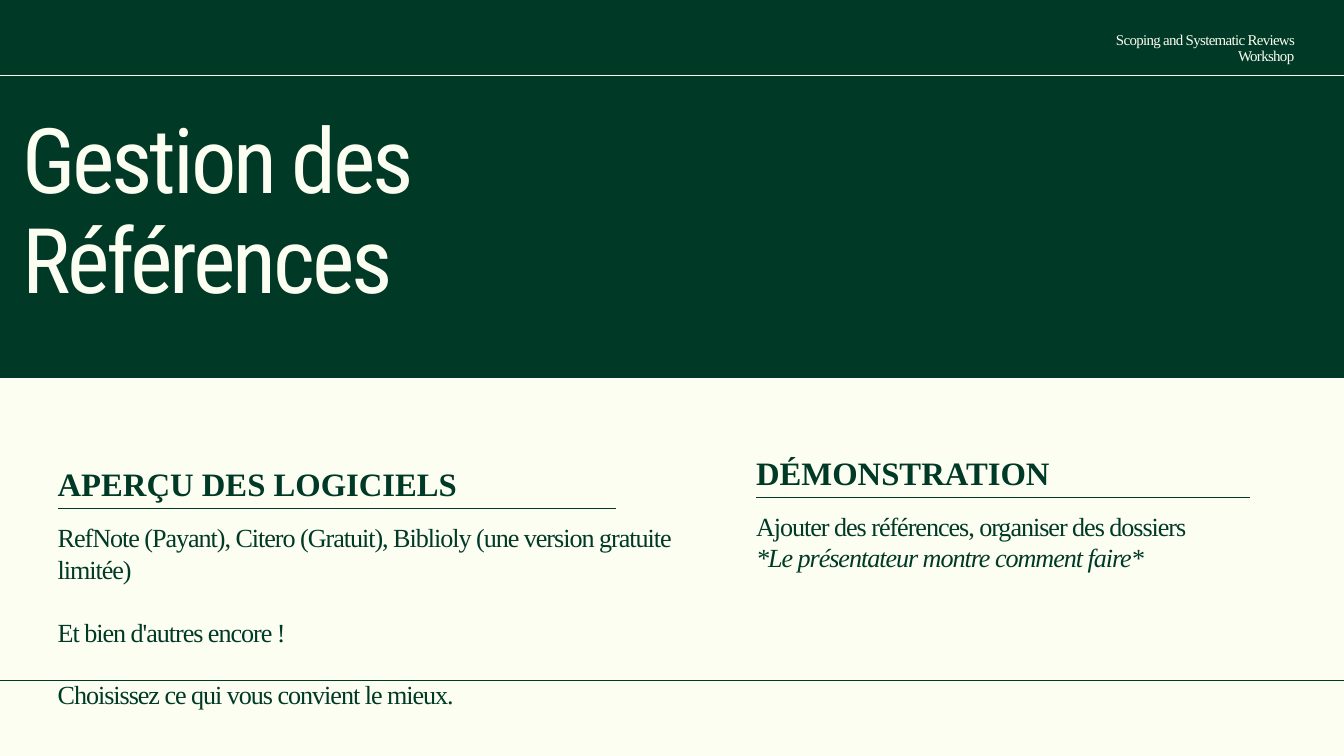
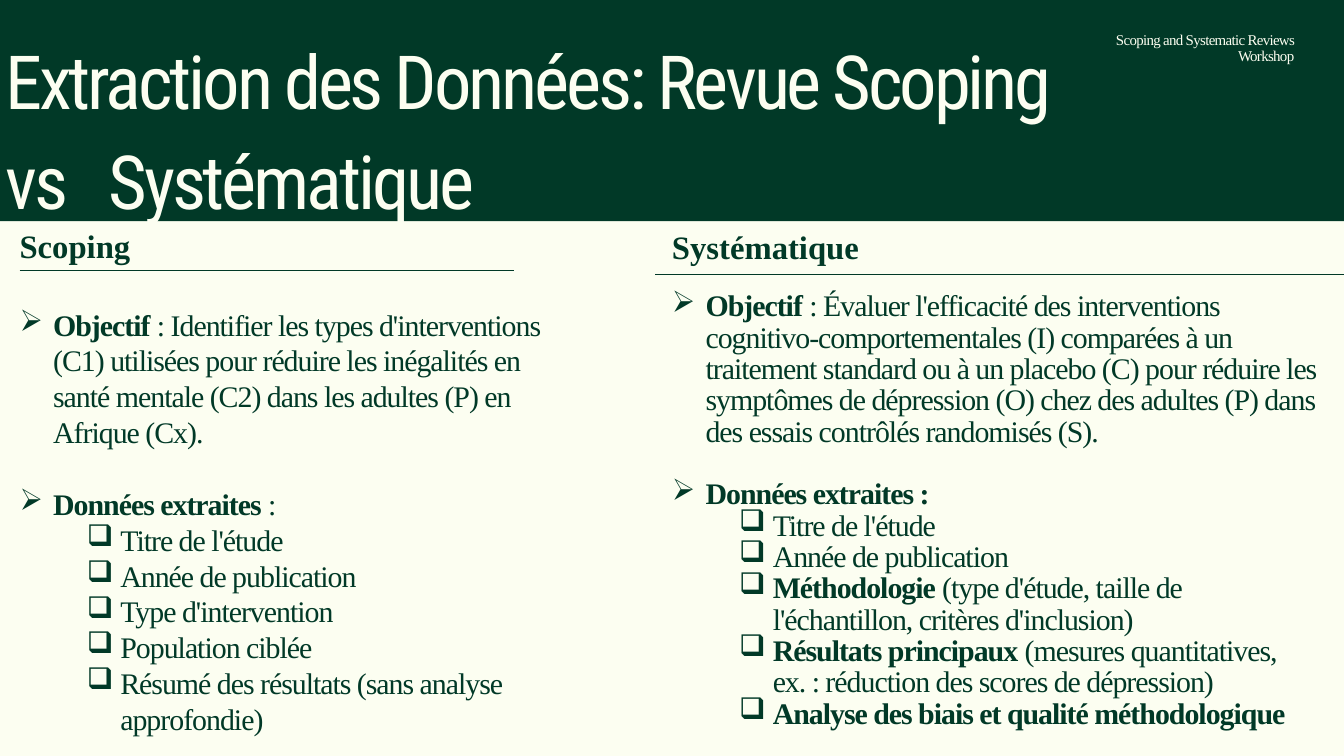
"""Build two workshop slides on reference management and data extraction."""
from lxml.etree import SubElement
from pptx import Presentation
from pptx.dml.color import RGBColor
from pptx.enum.shapes import MSO_CONNECTOR as Link, MSO_SHAPE as Shape
from pptx.enum.text import MSO_ANCHOR as Anchor, MSO_AUTO_SIZE as Auto, PP_ALIGN as Align
from pptx.oxml.ns import qn
from pptx.util import Cm, Pt

GREEN, CREAM = "013927", "FCFEF1"
WIDE, HIGH = 50.8, 28.58
SERIF, SANS = "Times New Roman", "Roboto Condensed"
BULLETS = {1: ("➢", 1.27), 2: ("❑", 3.81)}
HANG = 1.27
FRAME = dict(margin_left=0, margin_top=0, margin_right=0, margin_bottom=0,
             word_wrap=True, vertical_anchor=Anchor.TOP, auto_size=Auto.SHAPE_TO_FIT_TEXT)
NOTE = dict(size=16, lead=16.9, spc=-70, color=CREAM, align=Align.RIGHT)
HEAD = dict(size=35, lead=42, bold=True)
TITLE = dict(lead=106.7, spc=-340, color=CREAM, face=SANS)
HEADER = "Scoping and Systematic Reviews Workshop"


def para(*runs, level=0, gap=False):
    """Describe a paragraph by its (text, changes) runs."""
    return dict(runs=[(r, {}) if isinstance(r, str) else r for r in runs],
                level=level, gap=gap)


def strong(text):
    """Describe a bold run."""
    return text, dict(bold=True)


def item(*runs):
    """Describe a second-level bullet."""
    return para(*runs, level=2)


SLIDES = [
    dict(
        band=14.29, box=(0.84, 4.24, 26.47, 7.59), size=97,
        title=[para("Gestion des Références")],
        rules=[(0, WIDE, 25.72, GREEN), (0, WIDE, 2.86, CREAM)],
        cols=[
            dict(head="APERÇU DES LOGICIELS", at=(2.18, 17.55), wide=23.22,
                 drop=2.18, high=7.19, rule=(2.18, 23.29, 1.68), size=28, lead=33.6,
                 body=[
                     para("RefNote (Payant), Citero (Gratuit), Biblioly (une version "
                          "gratuite limitée)"),
                     para("Et bien d'autres encore !", gap=True),
                     para("Choisissez ce qui vous convient le mieux.", gap=True)]),
            dict(head="DÉMONSTRATION", at=(28.58, 17.12), wide=19.1,
                 drop=2.18, high=2.34, rule=(28.58, 47.24, 1.68), size=28, lead=33.6,
                 body=[
                     para("Ajouter des références, organiser des dossiers"),
                     para(("*Le présentateur montre comment faire*", dict(italic=True)))]),
        ]),
    dict(
        band=8.36, box=(0.2, 0.94, 48.74, 7.62), size=80,
        title=[para("Extraction des Données: Revue Scoping"),
               para("vs", (" ", dict(spc=2500)), "Systématique")],
        rules=[],
        cols=[
            dict(head="Scoping", at=(0.74, 8.53), wide=20.22,
                 drop=3.05, high=16.41, rule=(0.74, 19.41, 1.68), size=32, lead=38.4,
                 body=[
                     para(strong("Objectif "),
                          ": Identifier les types d'interventions (C1) utilisées pour "
                          "réduire les inégalités en santé mentale (C2) dans les adultes "
                          "(P) en Afrique (Cx).", level=1),
                     para(strong("Données extraites "), ":", level=1, gap=True),
                     item("Titre de l'étude"),
                     item("Année de publication"),
                     item("Type d'intervention"),
                     item("Population ciblée"),
                     item("Résumé des résultats (sans analyse approfondie)")]),
            dict(head="Systématique", at=(25.4, 8.59), wide=24.71,
                 drop=2.43, high=16.97, rule=(24.77, WIDE, 1.77), size=32, lead=33.6,
                 body=[
                     para(strong("Objectif "),
                          ": Évaluer l'efficacité des interventions "
                          "cognitivo-comportementales (I) comparées à un traitement "
                          "standard ou à un placebo (C) pour réduire les symptômes de "
                          "dépression (O) chez des adultes (P) dans des essais contrôlés "
                          "randomisés (S).", level=1),
                     para(strong("Données extraites :"), level=1, gap=True),
                     item("Titre de l'étude"),
                     item("Année de publication"),
                     item(strong("Méthodologie"),
                          " (type d'étude, taille de l'échantillon, critères d'inclusion)"),
                     item(strong("Résultats principaux "),
                          "(mesures quantitatives, ex. : réduction des scores de "
                          "dépression)"),
                     item(strong("Analyse des biais et qualité méthodologique"))]),
        ]),
]


def tint(code):
    """Turn a hex string into a colour."""
    return RGBColor.from_string(code)


def apply(obj, values):
    """Set each named attribute of an object."""
    for name, value in values.items():
        setattr(obj, name, value)


def write(shape, paras, size, lead, spc=0, color=GREEN, face=SERIF,
          align=Align.LEFT, bold=False):
    """Fill a shape with formatted paragraphs."""
    frame = shape.text_frame
    apply(frame, FRAME)
    for i, part in enumerate(paras):
        p = frame.paragraphs[0] if i == 0 else frame.add_paragraph()
        apply(p, dict(alignment=align, line_spacing=Pt(lead),
                      space_before=Pt(lead if part["gap"] else 0)))
        for text, change in part["runs"]:
            look = dict(bold=bold, italic=False, spc=spc) | change
            run = p.add_run()
            run.text = text
            run.font.color.rgb = tint(color)
            run._r.get_or_add_rPr().set("spc", str(look.pop("spc")))
            apply(run.font, dict(name=face, size=Pt(size)) | look)
        if part["level"]:
            mark, left = BULLETS[part["level"]]
            p.level = part["level"] - 1
            props = p._p.get_or_add_pPr()
            props.set("marL", str(Cm(left)))
            props.set("indent", str(Cm(-HANG)))
            SubElement(props, qn("a:buChar")).set("char", mark)


def text(slide, box, paras, **look):
    """Add a text box."""
    write(slide.shapes.add_textbox(*map(Cm, box)), paras, **look)


def rule(slide, left, right, top, color=GREEN):
    """Add a thin horizontal line."""
    line = slide.shapes.add_connector(Link.STRAIGHT, *map(Cm, (left, top, right, top)))
    line.line.color.rgb = tint(color)
    line.line.width = Pt(0.75)
    SubElement(line._element.spPr, qn("a:effectLst"))


def column(slide, col):
    """Add a heading, its rule and its body."""
    left, top = col["at"]
    start, end, drop = col["rule"]
    text(slide, (left, top, col["wide"], 1.5), [para(col["head"])], **HEAD)
    text(slide, (left, top + col["drop"], col["wide"], col["high"]), col["body"],
         size=col["size"], lead=col["lead"], spc=-110)
    rule(slide, start, end, top + drop)


def build(prs, data):
    """Add one slide."""
    slide = prs.slides.add_slide(prs.slide_layouts[5])
    band = slide.shapes.add_shape(Shape.RECTANGLE, 0, 0, Cm(WIDE), Cm(data["band"]))
    band.shadow.inherit = False
    band.fill.solid()
    band.fill.fore_color.rgb = tint(GREEN)
    band.line.fill.background()
    title = slide.shapes.title
    slide.shapes._spTree.append(title._element)
    apply(title, dict(zip(("left", "top", "width", "height"), map(Cm, data["box"]))))
    write(title, data["title"], size=data["size"], **TITLE)
    text(slide, (40.16, 1.24, 8.76, 0.61), [para(HEADER)], **NOTE)
    for line in data["rules"]:
        rule(slide, *line)
    for col in data["cols"]:
        column(slide, col)


def main():
    """Build and save the deck."""
    prs = Presentation()
    apply(prs, dict(slide_width=Cm(WIDE), slide_height=Cm(HIGH)))
    back = prs.slide_master.background.fill
    back.solid()
    back.fore_color.rgb = tint(CREAM)
    for data in SLIDES:
        build(prs, data)
    prs.save("out.pptx")


if __name__ == "__main__":
    main()
